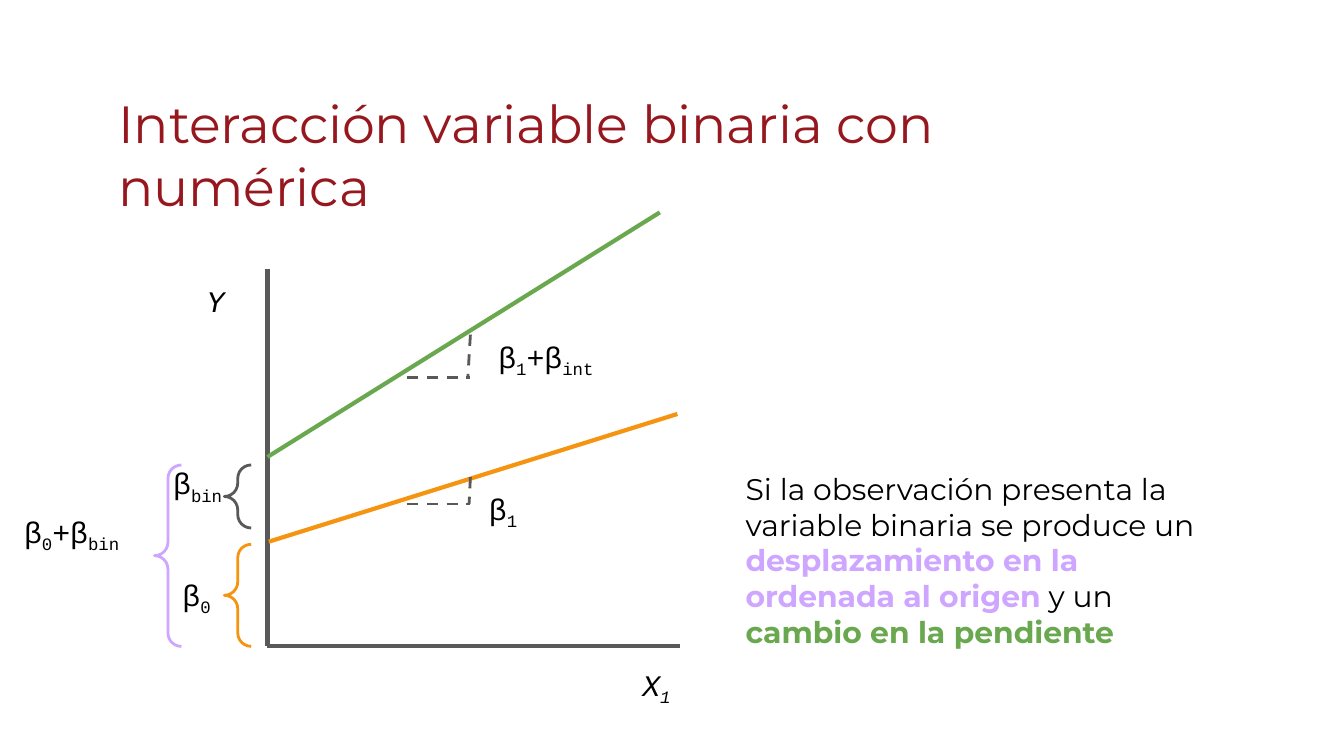
from dataclasses import dataclass

from lxml.etree import SubElement
from pptx import Presentation
from pptx.dml.color import RGBColor
from pptx.enum.dml import MSO_LINE_DASH_STYLE as Dash
from pptx.enum.shapes import MSO_CONNECTOR_TYPE as Connector, MSO_SHAPE as Shape
from pptx.enum.text import MSO_AUTO_SIZE as AutoSize
from pptx.oxml.ns import qn
from pptx.util import Pt

GRAY, ORANGE, GREEN = "595959", "F59410", "6AA84F"
LILAC, RED, BLACK = "CEA6FF", "97171E", "000000"
MONO, SANS = "Courier New", "Montserrat"


@dataclass(frozen=True)
class Segment:
    x1: float
    y1: float
    x2: float
    y2: float
    color: str = GRAY
    width: float = 2.25
    dashed: bool = False


@dataclass(frozen=True)
class Brace:
    left: float
    top: float
    height: float
    color: str


@dataclass(frozen=True)
class Symbol:
    left: float
    top: float
    width: float
    terms: tuple[str, ...]
    italic: bool = False


@dataclass(frozen=True)
class Phrase:
    text: str
    color: str = BLACK
    bold: bool = False


def rgb(color: str) -> RGBColor:
    return RGBColor.from_string(color)


def draw_segment(slide, segment: Segment) -> None:
    line = slide.shapes.add_connector(
        Connector.STRAIGHT, Pt(segment.x1), Pt(segment.y1), Pt(segment.x2), Pt(segment.y2))
    line.line.color.rgb = rgb(segment.color)
    line.line.width = Pt(segment.width)
    if segment.dashed:
        line.line.dash_style = Dash.DASH
    SubElement(line._element.spPr, qn("a:effectLst"))


def draw_brace(slide, brace: Brace) -> None:
    shape = slide.shapes.add_shape(
        Shape.LEFT_BRACE, Pt(brace.left), Pt(brace.top), Pt(14.4), Pt(brace.height))
    shape.adjustments[0] = shape.adjustments[1] = 0.5
    shape.shadow.inherit = False
    shape.fill.background()
    shape.line.color.rgb = rgb(brace.color)
    shape.line.width = Pt(1.5)


def add_paragraph_box(slide, left: float, top: float, width: float, height: float,
                      font_name: str, size: float = 16, auto_size=AutoSize.SHAPE_TO_FIT_TEXT):
    frame = slide.shapes.add_textbox(Pt(left), Pt(top), Pt(width), Pt(height)).text_frame
    frame.word_wrap = True
    frame.auto_size = auto_size
    frame.margin_left = frame.margin_right = Pt(7.2)
    frame.margin_top = frame.margin_bottom = Pt(7.2)
    paragraph = frame.paragraphs[0]
    paragraph.font.name = font_name
    paragraph.font.size = Pt(size)
    return paragraph


def draw_symbol(slide, symbol: Symbol) -> None:
    paragraph = add_paragraph_box(slide, symbol.left, symbol.top, symbol.width, 33.8, MONO)
    paragraph.font.italic = symbol.italic
    paragraph.font.color.rgb = rgb(BLACK)
    for index, term in enumerate(symbol.terms):
        run = paragraph.add_run()
        run.text = term
        if index % 2:
            run._r.get_or_add_rPr().set("baseline", "-25000")


def draw_title(slide, text: str) -> None:
    title = add_paragraph_box(slide, 56.2, 41.8, 583.2, 41.8, SANS, 28, AutoSize.NONE)
    title.font.color.rgb = rgb(RED)
    title.add_run().text = text


def draw_explanation(slide, phrases: tuple[Phrase, ...]) -> None:
    explanation = add_paragraph_box(slide, 392.4, 244.8, 268.6, 111.6, SANS)
    for phrase in phrases:
        run = explanation.add_run()
        run.text = phrase.text
        run.font.bold = phrase.bold
        run.font.color.rgb = rgb(phrase.color)


AXES_AND_LINES = (
    Segment(143.3, 144, 143.3, 346.3),
    Segment(364.3, 346.3, 143.3, 346.3),
    Segment(144, 290.2, 362.9, 221.8, ORANGE),
    Segment(143.3, 244.8, 353.5, 113.8, GREEN),
)
SLOPE_STEPS = (
    Segment(218.2, 202.3, 252, 202.3, width=1.5, dashed=True),
    Segment(252, 179.3, 250.6, 203, width=1.5, dashed=True),
    Segment(218.2, 270, 252, 270, width=1.5, dashed=True),
    Segment(252, 255.6, 251.3, 270, width=1.5, dashed=True),
)
BRACES = (
    Brace(120.2, 291.6, 54.7, ORANGE),
    Brace(82.8, 249.1, 97.2, LILAC),
    Brace(120.2, 249.1, 33.8, GRAY),
)
SYMBOLS = (
    Symbol(85.7, 241.9, 44.6, ("β", "bin")),
    Symbol(5.8, 267.8, 66.2, ("β", "0", "+β", "bin")),
    Symbol(90.7, 301.7, 33.8, ("β", "0")),
    Symbol(103.7, 144, 26.6, ("Y",), italic=True),
    Symbol(337, 349.9, 33.8, ("X", "1"), italic=True),
    Symbol(259.9, 174.2, 84.2, ("β", "1", "+β", "int")),
    Symbol(254.9, 255.6, 33.8, ("β", "1")),
)
EXPLANATION = (
    Phrase("Si la observación presenta la variable binaria se produce un "),
    Phrase("desplazamiento en la ordenada al origen", LILAC, True),
    Phrase(" y un "),
    Phrase("cambio en la pendiente", GREEN, True),
)


def main() -> None:
    deck = Presentation()
    deck.slide_width, deck.slide_height = Pt(720), Pt(405)
    slide = deck.slides.add_slide(deck.slide_layouts[6])
    draw_title(slide, "Interacción variable binaria con numérica")
    for segment in AXES_AND_LINES:
        draw_segment(slide, segment)
    for brace in BRACES:
        draw_brace(slide, brace)
    for symbol in SYMBOLS:
        draw_symbol(slide, symbol)
    draw_explanation(slide, EXPLANATION)
    for segment in SLOPE_STEPS:
        draw_segment(slide, segment)
    deck.save("out.pptx")


if __name__ == "__main__":
    main()
